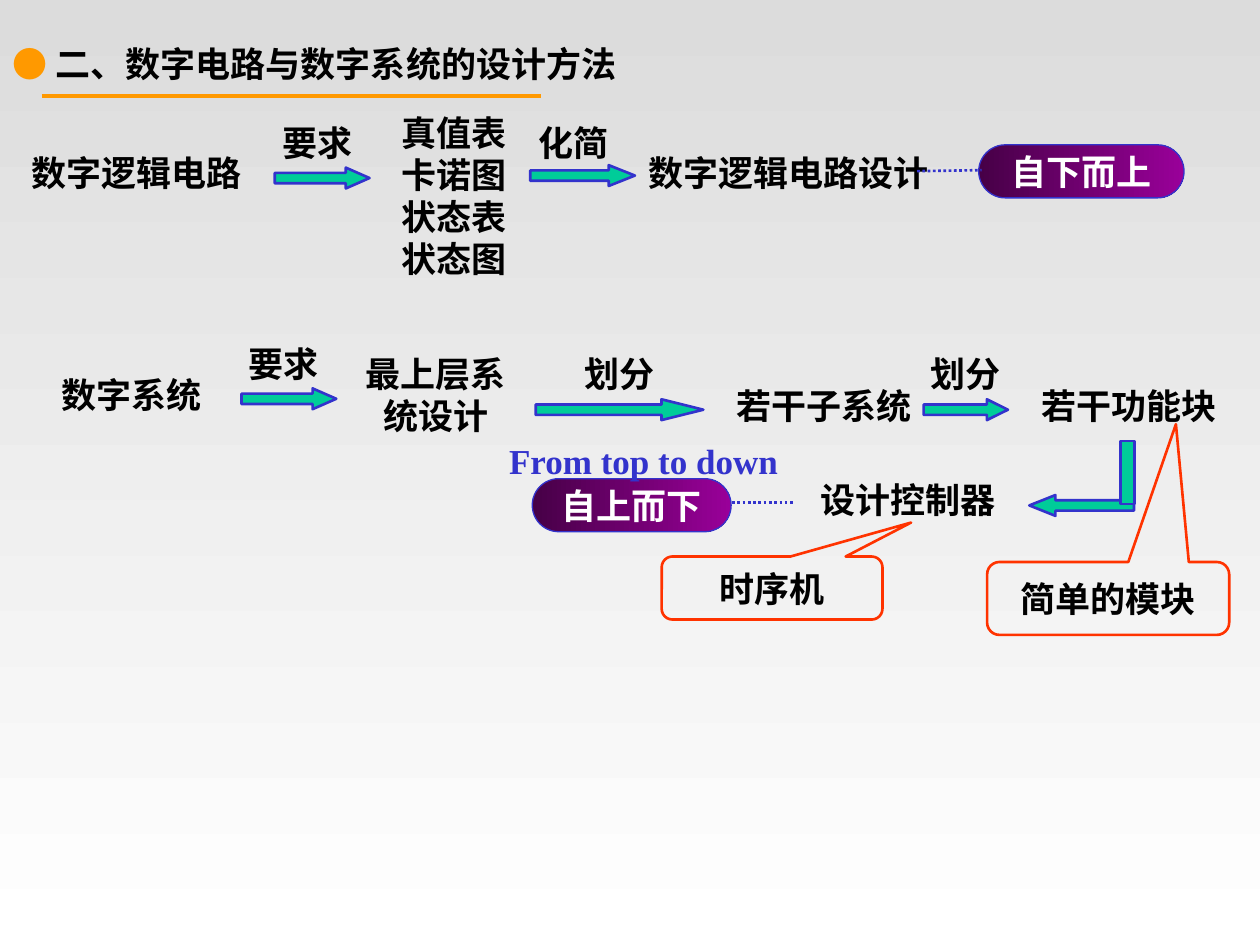
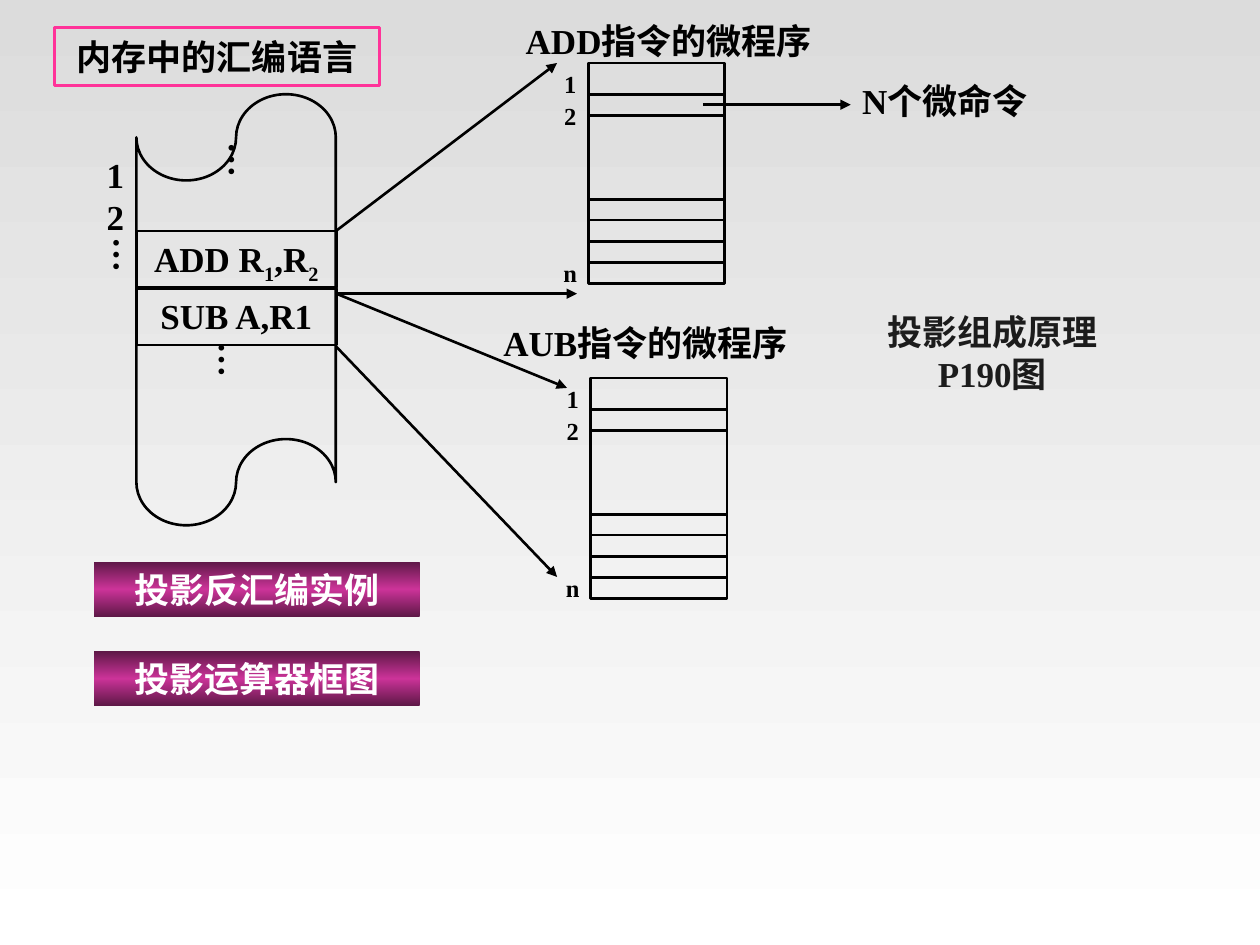
"""Build two slides on digital design methods and microprograms."""
from copy import deepcopy

from lxml.etree import SubElement
from pptx import Presentation
from pptx.dml.color import RGBColor
from pptx.enum.dml import MSO_LINE
from pptx.enum.shapes import MSO_CONNECTOR, MSO_SHAPE
from pptx.enum.text import MSO_ANCHOR, MSO_AUTO_SIZE, PP_ALIGN
from pptx.oxml.ns import qn
from pptx.util import Cm, Pt

COLORS = {
    "black": "000000", "soft black": "1C1C1C", "white": "FFFFFF", "gray": "DCDCDC",
    "orange": "FF9900", "blue": "3333CC", "green": "00CC99", "red": "FF3300",
    "pink": "FF3399", "plum": "470047", "purple": "990099",
    "wine": "5E1847", "magenta": "CC3399",
}
FONT = "Times New Roman"
GROWING = {"word_wrap": True, "auto_size": MSO_AUTO_SIZE.SHAPE_TO_FIT_TEXT,
           "vertical_anchor": MSO_ANCHOR.TOP}
CENTERED = {"word_wrap": True, "auto_size": MSO_AUTO_SIZE.NONE,
            "vertical_anchor": MSO_ANCHOR.MIDDLE}
PILL_FRAME = {**CENTERED, "word_wrap": False, "margin_left": 0, "margin_right": 0,
              "margin_top": 0, "margin_bottom": 0}
ROW = 1.1
ARROW_HEIGHT = 0.42

METHOD_TITLE = [("● ", {"color": "orange", "bold": False}),
                ("二、数字电路与数字系统的设计方法", {})]
METHOD_LABELS = [
    ("数字逻辑电路", 0, 2.92, 5.51, 1),
    ("要求", 5.35, 2.33, 2.11, 1),
    ("真值表卡诺图状态表状态图", 7.67, 2.12, 2.97, 4),
    ("化简", 10.5, 2.32, 2.11, 1),
    ("数字逻辑电路设计", 12.3, 2.92, 7.19, 1),
    ("数字系统", 0.64, 7.41, 4.01, 1),
    ("要求", 4.66, 6.78, 2.11, 1),
    ("最上层系统设计", 6.98, 6.99, 3.61, 2),
    ("划分", 10.8, 6.99, 3.38, 1),
    ("若干子系统", 14.17, 7.62, 4.88, 1),
    ("划分", 17.78, 6.99, 3.38, 1),
    ("若干功能块", 20.53, 7.62, 4.45, 1),
    ("设计控制器", 16.08, 9.53, 4.45, 1),
]
BLOCK_ARROWS = [
    (MSO_SHAPE.RIGHT_ARROW, 5.54, 3.38, 1.91),
    (MSO_SHAPE.RIGHT_ARROW, 10.69, 3.33, 2.11),
    (MSO_SHAPE.RIGHT_ARROW, 4.87, 7.83, 1.91),
    (MSO_SHAPE.RIGHT_ARROW, 10.8, 8.05, 3.38),
    (MSO_SHAPE.RIGHT_ARROW, 18.62, 8.05, 1.7),
    (MSO_SHAPE.LEFT_ARROW, 20.75, 9.98, 2.11),
]
ARROW_STEM = (22.59, 8.89, 0.28, 1.27)
PILLS = [("自下而上", (19.73, 2.92, 4.14, 1.07)), ("自上而下", (10.73, 9.65, 4.01, 1.07))]
DOTTED_LINES = [(18.49, 3.45, 19.79, 3.43), (14.76, 10.13, 16.03, 10.13)]
CALLOUTS = [
    ("时序机", (13.34, 11.22, 4.45, 1.27), (0.63, -1.04, 0.17)),
    ("简单的模块", (19.9, 11.33, 4.88, 1.47), (0.28, -2.39, 0.17)),
]

INSTRUCTIONS = [
    ([("ADD R", {}), ("1", {"baseline": -25000}), (",R", {}), ("2", {"baseline": -25000})],
     (2.75, 4.66, 4.03, 1.14)),
    ("SUB A,R1", (2.75, 5.82, 4.03, 1.14)),
]
ADDRESSES = [("1", 1.9, 2.97, 0.64, 1), ("2", 1.9, 3.81, 0.84, 1)]
ELLIPSES = [(1.78, 4.53), (4.1, 2.62), (3.9, 6.66)]
MEMORIES = [(11.86, 1.27), (11.91, 7.62)]
MEMORY_SIZE = (2.75, 4.45)
BAND_OFFSETS = [0.64, 2.75, 3.6]
WORD_NUMBERS = [("1", 0), ("2", 0.64), ("n", 3.81)]
POINTERS = [
    (6.78, 4.65, 11.23, 1.27), (6.78, 5.92, 11.63, 5.92), (6.78, 5.92, 11.43, 7.82),
    (6.78, 6.99, 11.23, 11.63), (14.17, 2.11, 17.15, 2.11),
]
MICRO_LABELS = [
    ("ADD指令的微程序", 10.21, 0.27, 6.55, 1),
    ("AUB指令的微程序", 9.74, 6.35, 6.55, 1),
    ("N个微命令", 16.93, 1.47, 4.24, 1),
]
REFERENCE = ("投影组成原理P190图", 16.93, 6.14, 6.15, 2)
BANNERS = [("投影反汇编实例", 11.33), ("投影运算器框图", 13.13)]


def rgb(name):
    return RGBColor.from_string(COLORS[name])


def apply(target, values):
    for name, value in values.items():
        setattr(target, name, value)


def gradient(fill, element, names, angle):
    fill.gradient()
    fill.gradient_angle = angle
    stop_list = next(element.iter(qn("a:gsLst")))
    while len(stop_list) < len(names):
        stop_list.append(deepcopy(stop_list[0]))
    for index, (stop, name) in enumerate(zip(fill.gradient_stops, names)):
        stop.position = index / (len(names) - 1)
        stop.color.rgb = rgb(name)


def write(box, text, frame_format, size=20, color="black", align=PP_ALIGN.CENTER):
    apply(box.text_frame, frame_format)
    para = box.text_frame.paragraphs[0]
    para.alignment = align
    for words, changes in [(text, {})] if isinstance(text, str) else text:
        span = para.add_run()
        span.text = words
        apply(span.font, {"name": FONT, "size": Pt(size), "bold": changes.get("bold", True)})
        span.font.color.rgb = rgb(changes.get("color", color))
        if "baseline" in changes:
            span.font._element.set("baseline", str(changes["baseline"]))


def outline(line, color, width=1.5):
    line.color.rgb = rgb(color)
    line.width = Pt(width)


def add_label(page, text, left, top, width, lines, **style):
    height = 0.25 + 0.85 * lines
    box = page.shapes.add_textbox(Cm(left), Cm(top), Cm(width), Cm(height))
    write(box, text, GROWING, **style)


def add_box(page, kind, area, line="black", fill=None, width=1.5, adjustments=()):
    box = page.shapes.add_shape(kind, *map(Cm, area))
    box.shadow.inherit = False
    for index, value in enumerate(adjustments):
        box.adjustments[index] = value
    if fill:
        box.fill.solid()
        box.fill.fore_color.rgb = rgb(fill)
    else:
        box.fill.background()
    if line:
        outline(box.line, line, width)
    else:
        box.line.fill.background()
    return box


def add_line(page, ends, color="black", width=1.5, dash=None, head=False):
    line = page.shapes.add_connector(MSO_CONNECTOR.STRAIGHT, *map(Cm, ends))
    outline(line.line, color, width)
    if dash:
        line.line.dash_style = dash
    if head:
        SubElement(line.get_or_add_ln(), qn("a:tailEnd"), type="triangle")
    SubElement(line.element.spPr, qn("a:effectLst"))


def add_page(deck, title, area, align):
    page = deck.slides.add_slide(deck.slide_layouts[5])
    box = page.shapes.title
    apply(box, dict(zip(("left", "top", "width", "height"), map(Cm, area))))
    write(box, title, CENTERED, align=align)
    return page


def build_methods(deck):
    page = add_page(deck, METHOD_TITLE, (0, 0.73, 15.09, ROW), PP_ALIGN.LEFT)
    add_line(page, (0.84, 1.93, 10.9, 1.93), "orange", 2.25)
    for label in METHOD_LABELS:
        add_label(page, *label)
    for kind, left, top, width in BLOCK_ARROWS:
        add_box(page, kind, (left, top, width, ARROW_HEIGHT), "blue", "green",
                adjustments=(0.5, width / ARROW_HEIGHT / 4))
    add_box(page, MSO_SHAPE.RECTANGLE, ARROW_STEM, "blue", "green")
    for text, area, adjustments in CALLOUTS:
        callout = add_box(page, MSO_SHAPE.ROUNDED_RECTANGULAR_CALLOUT, area, "red",
                          adjustments=adjustments)
        write(callout, text, CENTERED)
    for text, area in PILLS:
        pill = add_box(page, MSO_SHAPE.ROUNDED_RECTANGLE, area, "blue", width=0.75,
                       adjustments=(0.5,))
        gradient(pill.fill, pill.element, ("plum", "purple"), 0)
        write(pill, text, PILL_FRAME, color="white")
    for ends in DOTTED_LINES:
        add_line(page, ends, "blue", dash=MSO_LINE.ROUND_DOT)
    add_label(page, "From top to down", 9.7, 8.74, 6.55, 1, color="blue")


def build_microprograms(deck):
    page = add_page(deck, "内存中的汇编语言", (1.1, 0.56, 6.55, 1.16), PP_ALIGN.CENTER)
    outline(page.shapes.title.line, "pink")
    add_box(page, MSO_SHAPE.FLOWCHART_PUNCHED_TAPE, (2.75, 1.9, 4.02, 8.69))
    for text, area in INSTRUCTIONS:
        write(add_box(page, MSO_SHAPE.RECTANGLE, area), text, GROWING)
    for left, top in ELLIPSES:
        box = page.shapes.add_textbox(Cm(left), Cm(top), Cm(1.35), Cm(2.34))
        write(box, "…", GROWING)
        box.element.txBody.bodyPr.set("vert", "eaVert")
    for left, top in MEMORIES:
        width, height = MEMORY_SIZE
        add_box(page, MSO_SHAPE.RECTANGLE, (left, top, width, height))
        for offset in BAND_OFFSETS:
            add_box(page, MSO_SHAPE.RECTANGLE, (left, top + offset, width, 0.42))
        for number, offset in WORD_NUMBERS:
            add_label(page, number, left - 0.86, top + offset, 0.99, 0.7, size=14)
    for ends in POINTERS:
        add_line(page, ends, head=True)
    for label in ADDRESSES + MICRO_LABELS:
        add_label(page, *label)
    add_label(page, *REFERENCE, color="soft black")
    for text, top in BANNERS:
        banner = add_box(page, MSO_SHAPE.RECTANGLE, (1.9, top, 6.56, ROW), line=None)
        gradient(banner.fill, banner.element, ("wine", "magenta", "wine"), 270)
        write(banner, text, GROWING, color="white")


def main():
    deck = Presentation()
    apply(deck, {"slide_width": Cm(25.4), "slide_height": Cm(19.05)})
    master = deck.slide_master
    gradient(master.background.fill, master.element, ("gray", "white"), 270)
    build_methods(deck)
    build_microprograms(deck)
    deck.save("out.pptx")


if __name__ == "__main__":
    main()
